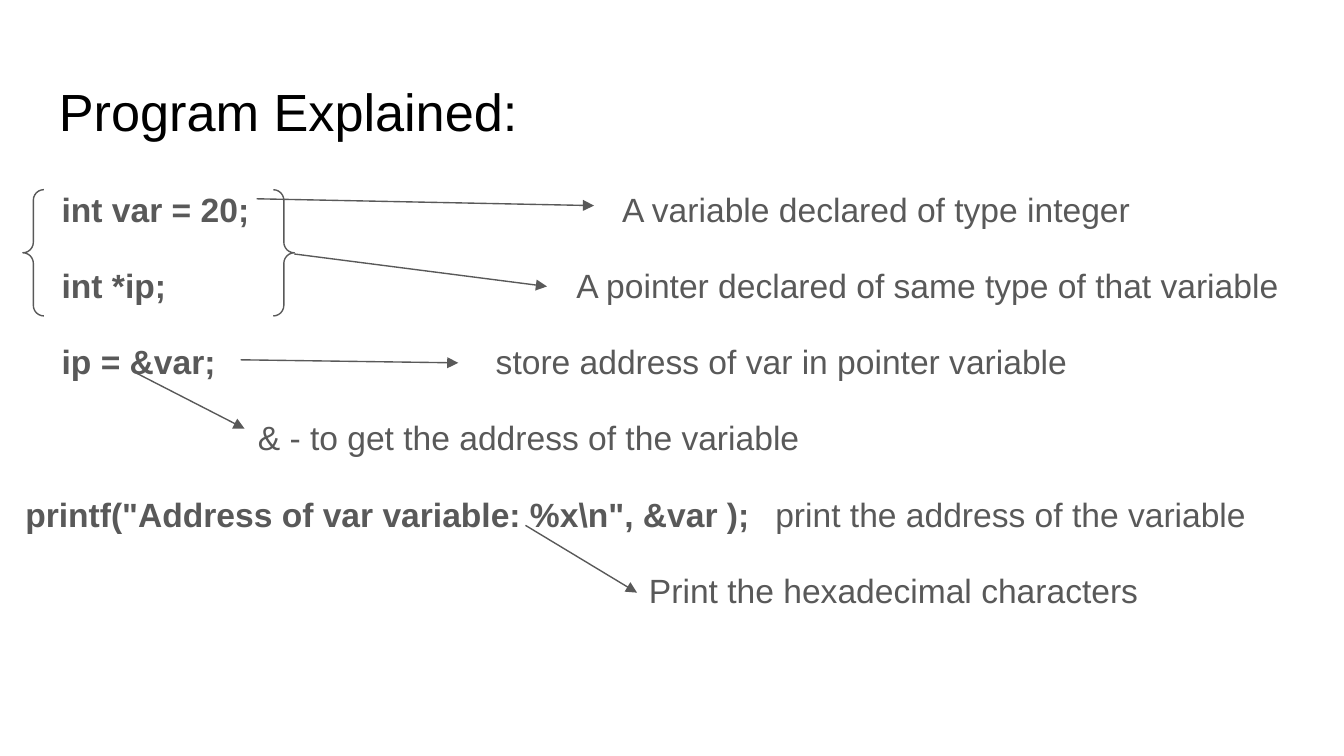
import pptx
import pptx.dml.color
import pptx.enum.dml
import pptx.enum.shapes
import pptx.enum.text
import pptx.oxml.ns
import pptx.util
from dataclasses import dataclass
from lxml import etree


@dataclass(frozen=True)
class Theme:
    font: str = "Arial"
    heading: str = "000000"
    body: str = "595959"
    heading_size: float = 28
    body_size: float = 18
    line_width: float = 0.75


theme = Theme()
ink = pptx.dml.color.RGBColor.from_string(theme.body)

deck = pptx.Presentation()
deck.slide_width = pptx.util.Inches(10)
deck.slide_height = pptx.util.Inches(5.625)
slide = deck.slides.add_slide(deck.slide_layouts[6])

# The slide is a grid of 100 columns by 100 rows.
COLUMN = deck.slide_width / 100
ROW = deck.slide_height / 100


def place(*cells):
    """Turn alternating column and row counts into lengths."""
    return [round(cell * (ROW if i % 2 else COLUMN)) for i, cell in enumerate(cells)]


def write(paragraphs, *, box, size, color, spacing=1.0, before=0):
    """Add a text box; each paragraph is (tab stops in columns, [(text, bold), ...])."""
    frame = slide.shapes.add_textbox(*place(*box)).text_frame
    frame.word_wrap = True
    frame.vertical_anchor = pptx.enum.text.MSO_ANCHOR.TOP
    inset = pptx.util.Inches(0.1)
    frame.margin_left = frame.margin_right = inset
    frame.margin_top = frame.margin_bottom = inset
    for number, (stops, pieces) in enumerate(paragraphs):
        paragraph = frame.add_paragraph() if number else frame.paragraphs[0]
        paragraph.line_spacing = spacing
        paragraph.space_before = pptx.util.Pt(before if number else 0)
        if stops:
            properties = paragraph._p.get_or_add_pPr()
            tabs = etree.SubElement(properties, pptx.oxml.ns.qn("a:tabLst"))
            for stop in stops:
                etree.SubElement(tabs, pptx.oxml.ns.qn("a:tab"),
                                 pos=str(round(stop * COLUMN)), algn="l")
        for text, bold in pieces:
            run = paragraph.add_run()
            run.text = text
            run.font.name = theme.font
            run.font.size = pptx.util.Pt(size)
            run.font.bold = bold
            run.font.color.rgb = pptx.dml.color.RGBColor.from_string(color)


write([([], [("Program Explained:", False)])], box=(3.4, 8.7, 93.2, 11.2),
      size=theme.heading_size, color=theme.heading)

# Tab stops in columns, code in bold, then its explanation.
explained = [
    ([2.7, 44.4], "\tint var = 20;", "\tA variable declared of type integer"),
    ([2.7, 41], "\tint *ip;", "\tA pointer declared of same type of that variable"),
    ([2.7, 35], "\tip = &var;", "\tstore address of var in pointer variable"),
    ([17.3], "", "\t& - to get the address of the variable"),
    ([55.8], 'printf("Address of var variable: %x\\n", &var );',
     "\tprint the address of the variable"),
    ([46.4], "", "\tPrint the hexadecimal characters"),
]
write([(stops, [(text, bold) for text, bold in ((code, True), (meaning, False)) if text])
       for stops, code, meaning in explained],
      box=(0.9, 22.4, 98.1, 75.6), size=theme.body_size, color=theme.body,
      spacing=1.15, before=16)

declarations = slide.shapes.add_shape(
    pptx.enum.shapes.MSO_SHAPE.DOUBLE_BRACE, *place(1.7, 25.1, 20.2, 16.7))
declarations.shadow.inherit = False
declarations.fill.background()
declarations.line.color.rgb = ink
declarations.line.width = pptx.util.Pt(theme.line_width)

# Start column and row, end column and row.
arrows = [
    (19.1, 26.3, 44.2, 27.2),
    (21.9, 33.6, 40.7, 37.9),
    (17.9, 47.6, 34.1, 48),
    (10.2, 49.4, 18.2, 56.7),
    (39.1, 69.5, 47.4, 78.4),
]
for ends in arrows:
    arrow = slide.shapes.add_connector(
        pptx.enum.shapes.MSO_CONNECTOR.STRAIGHT, *place(*ends))
    arrow.line.color.rgb = ink
    arrow.line.width = pptx.util.Pt(theme.line_width)
    etree.SubElement(arrow.line._get_or_add_ln(), pptx.oxml.ns.qn("a:tailEnd"),
                     type="triangle", w="med", len="med")
    etree.SubElement(arrow._element.spPr, pptx.oxml.ns.qn("a:effectLst"))

deck.save("out.pptx")
